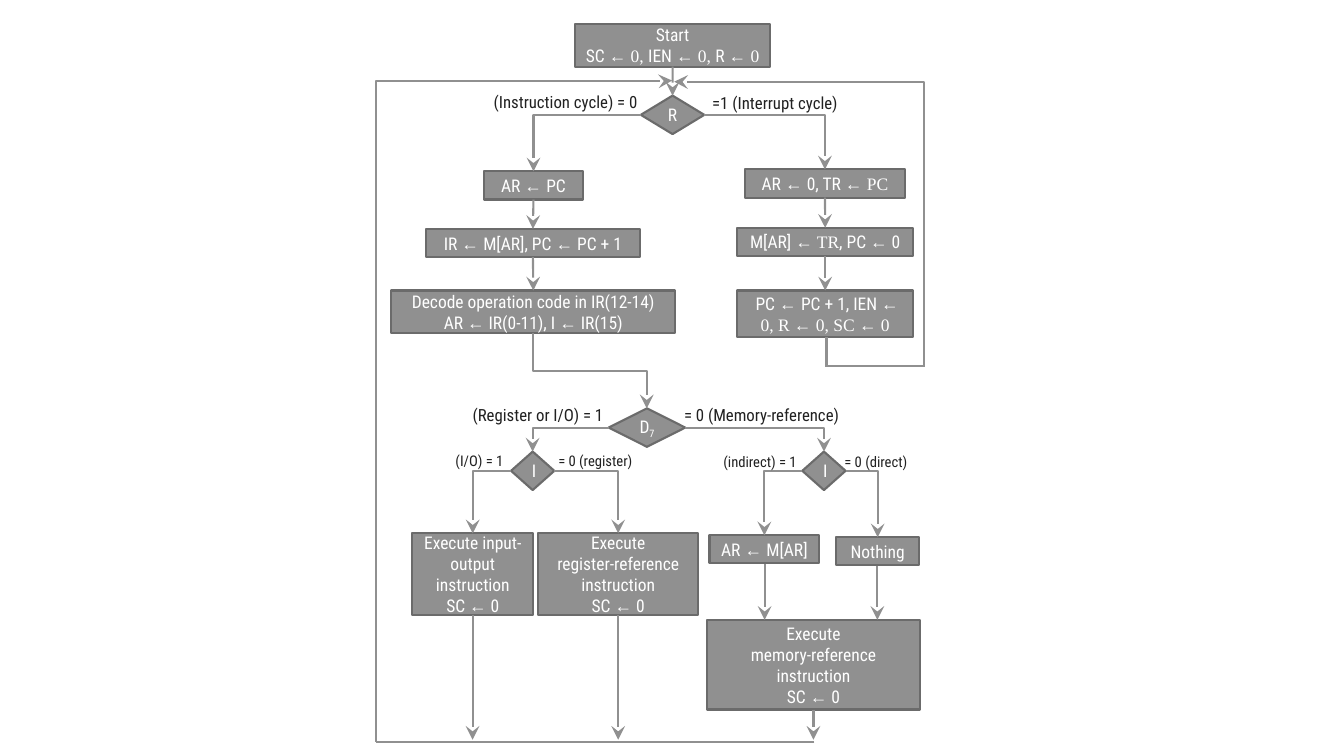
from lxml.etree import SubElement
from pptx import Presentation
from pptx.dml.color import RGBColor
from pptx.enum.shapes import MSO_CONNECTOR, MSO_SHAPE
from pptx.enum.text import MSO_ANCHOR, MSO_AUTO_SIZE, PP_ALIGN
from pptx.oxml.ns import qn
from pptx.util import Cm, Pt

COLORS = {"fill": "909090", "outline": "6B6B6B", "light": "FFFFFF", "dark": "212121"}
FONTS = ("Roboto Condensed", "Times New Roman")
TOP, LEFT, BOTTOM, RIGHT = range(4)


def color(name):
    """Return the named colour."""
    return RGBColor.from_string(COLORS[name])


def add_run(paragraph, text, size=12.5, ink="light", font=FONTS[0], baseline=None):
    """Add one formatted run to a paragraph."""
    run = paragraph.add_run()
    run.text = text
    run.font.size = Pt(size)
    run.font.name = font
    run.font.color.rgb = color(ink)
    if baseline:
        run.font._element.set("baseline", str(baseline))


def add_box(slide, text, left, top, width, height, kind=MSO_SHAPE.RECTANGLE):
    """Draw a step; each bar in its text switches between the two fonts."""
    shape = slide.shapes.add_shape(kind, Cm(left), Cm(top), Cm(width), Cm(height))
    shape.shadow.inherit = False
    shape.fill.solid()
    shape.fill.fore_color.rgb = color("fill")
    shape.line.color.rgb = color("outline")
    shape.line.width = Pt(1.5)
    frame = shape.text_frame
    frame.word_wrap = True
    frame.vertical_anchor = MSO_ANCHOR.MIDDLE
    for index, line in enumerate(text.split("\n")):
        paragraph = frame.add_paragraph() if index else frame.paragraphs[0]
        paragraph.alignment = PP_ALIGN.CENTER
        for position, part in enumerate(line.split("|")):
            add_run(paragraph, part, font=FONTS[position % 2])
    return shape


def add_label(slide, text, left, top, width, height=0.76, size=12):
    """Write the condition beside a branch."""
    box = slide.shapes.add_textbox(Cm(left), Cm(top), Cm(width), Cm(height))
    box.text_frame.word_wrap = False
    box.text_frame.auto_size = MSO_AUTO_SIZE.SHAPE_TO_FIT_TEXT
    add_run(box.text_frame.paragraphs[0], text, size=size, ink="dark")


def add_line(slide, begin=(0, 0), end=(0, 0), kind=MSO_CONNECTOR.STRAIGHT, arrow=True):
    """Draw a connector between two points."""
    points = [Cm(value) for value in (*begin, *end)]
    connector = slide.shapes.add_connector(kind, *points)
    connector.line.color.rgb = color("fill")
    connector.line.width = Pt(1.5)
    if arrow:
        line = connector.line._get_or_add_ln()
        SubElement(line, qn("a:tailEnd"), type="stealth", w="lg", len="lg")
    SubElement(connector._element.spPr, qn("a:effectLst"))
    return connector


def join(slide, source, target):
    """Link the bottom of a step to the top of the next."""
    connector = add_line(slide)
    connector.begin_connect(source, BOTTOM)
    connector.end_connect(target, TOP)


def branch(slide, decision, side, target):
    """Link a side of a decision to the top of a step with one bend."""
    connector = add_line(slide, kind=MSO_CONNECTOR.ELBOW)
    connector.begin_connect(decision, side)
    connector.end_connect(target, TOP)
    connector._element.spPr.find(qn("a:prstGeom")).set("prst", "bentConnector2")


def add_detour(slide, begin, end, bend=50000):
    """Draw a two-bend arrow that leaves and arrives vertically."""
    across, down = end[0] - begin[0], end[1] - begin[1]
    middle_x, middle_y = (begin[0] + end[0]) / 2, (begin[1] + end[1]) / 2
    rise = abs(across) / 2 * (-1 if across * down > 0 else 1)
    reach = abs(down) / 2
    connector = add_line(slide, (middle_x - reach, middle_y - rise),
                         (middle_x + reach, middle_y + rise), MSO_CONNECTOR.ELBOW)
    properties = connector._element.spPr
    properties.find(qn("a:xfrm")).set("rot", str((90 if down > 0 else 270) * 60000))
    adjustments = properties.find(qn("a:prstGeom")).find(qn("a:avLst"))
    SubElement(adjustments, qn("a:gd"), name="adj1", fmla=f"val {bend}")


def main():
    """Build the computer operation flowchart."""
    presentation = Presentation()
    presentation.slide_width, presentation.slide_height = Cm(33.87), Cm(19.05)
    slide = presentation.slides.add_slide(presentation.slide_layouts[6])
    diamond = MSO_SHAPE.DIAMOND

    start = add_box(slide, "Start\nSC |← 0, |IEN |← 0, |R |← 0", 14.5, 0.61, 4.9, 1.07)
    interrupt = add_box(slide, "R", 16.15, 2.41, 1.6, 0.97, diamond)
    address = add_box(slide, "AR |← |PC", 12.19, 4.32, 2.51, 0.71)
    fetch = add_box(slide, "IR |← |M[AR], PC |←| PC + 1", 10.74, 5.77, 5.38, 0.71)
    decode = add_box(slide, "Decode operation code in IR(12-14)\nAR |←| IR(0-11), I |←| IR(15)",
                     9.86, 7.32, 7.16, 1.07)
    save = add_box(slide, "AR |← |0, TR |← PC", 18.77, 4.27, 4.04, 0.71)
    store = add_box(slide, "M[AR] |← TR|, PC |←| 0", 18.57, 5.74, 4.45, 0.71)
    reset = add_box(slide, " PC |← |PC + 1, IEN |← 0, R ← 0, SC ← 0", 18.57, 7.32, 4.45, 1.17)
    opcode = add_box(slide, "D", 15.34, 10.29, 1.93, 0.97, diamond)
    add_run(opcode.text_frame.paragraphs[0], "7", baseline=-25000)
    register_mode, memory_mode = [
        add_box(slide, "I", left, 11.38, 1.09, 0.97, diamond) for left in (12.88, 20.22)]
    input_output = add_box(slide, "Execute input-output instruction\nSC |←| 0",
                           10.39, 13.44, 3.05, 2.06)
    register = add_box(slide, "Execute\nregister-reference instruction\nSC |←| 0",
                       13.56, 13.44, 4.04, 2.06)
    indirect = add_box(slide, "AR |← |M[AR]", 17.88, 13.49, 2.77, 0.71)
    direct = add_box(slide, "Nothing", 21.08, 13.54, 2.08, 0.71)
    add_box(slide, "Execute\nmemory-reference instruction\nSC |←| 0", 17.81, 15.62, 5.38, 2.26)

    for source, target in ((start, interrupt), (address, fetch), (fetch, decode),
                           (save, store), (store, reset)):
        join(slide, source, target)
    for decision, left_step, right_step in (
            (interrupt, address, save), (opcode, register_mode, memory_mode),
            (register_mode, input_output, register), (memory_mode, indirect, direct)):
        branch(slide, decision, LEFT, left_step)
        branch(slide, decision, RIGHT, right_step)
    for x, top, bottom in ((19.27, 14.2, 15.62), (22.11, 14.25, 15.62), (11.91, 15.5, 18.64),
                           (15.58, 15.5, 18.64), (20.5, 17.88, 18.64)):
        add_line(slide, (x, top), (x, bottom))
    add_detour(slide, (13.44, 8.39), (16.3, 10.29))

    add_line(slide, (20.52, 18.69), (9.47, 18.69), arrow=False)
    add_detour(slide, (9.47, 18.69), (16.94, 2.03), bend=99900)
    add_line(slide, (20.83, 8.49), (20.83, 9.25), arrow=False)
    add_line(slide, (20.83, 9.22), (23.32, 9.22), arrow=False)
    add_detour(slide, (23.29, 9.22), (16.99, 2.06), bend=99900)

    add_label(slide, "(Instruction cycle) = 0", 12.19, 2.18, 4.24)
    add_label(slide, "=1 (Interrupt cycle)", 17.7, 2.21, 3.91)
    add_label(slide, "(Register or I/O) = 1", 11.66, 10.08, 3.94)
    add_label(slide, "= 0 (Memory-reference)", 16.99, 10.08, 4.67)
    for text, left, top, width in (
            ("(I/O) = 1", 11.23, 11.25, 1.78), ("= 0 (register)", 13.82, 11.25, 2.44),
            ("(indirect) = 1", 17.98, 11.28, 2.44), ("= 0 (direct)", 21.03, 11.28, 2.16)):
        add_label(slide, text, left, top, width, height=0.71, size=10.5)

    presentation.save("out.pptx")


if __name__ == "__main__":
    main()
